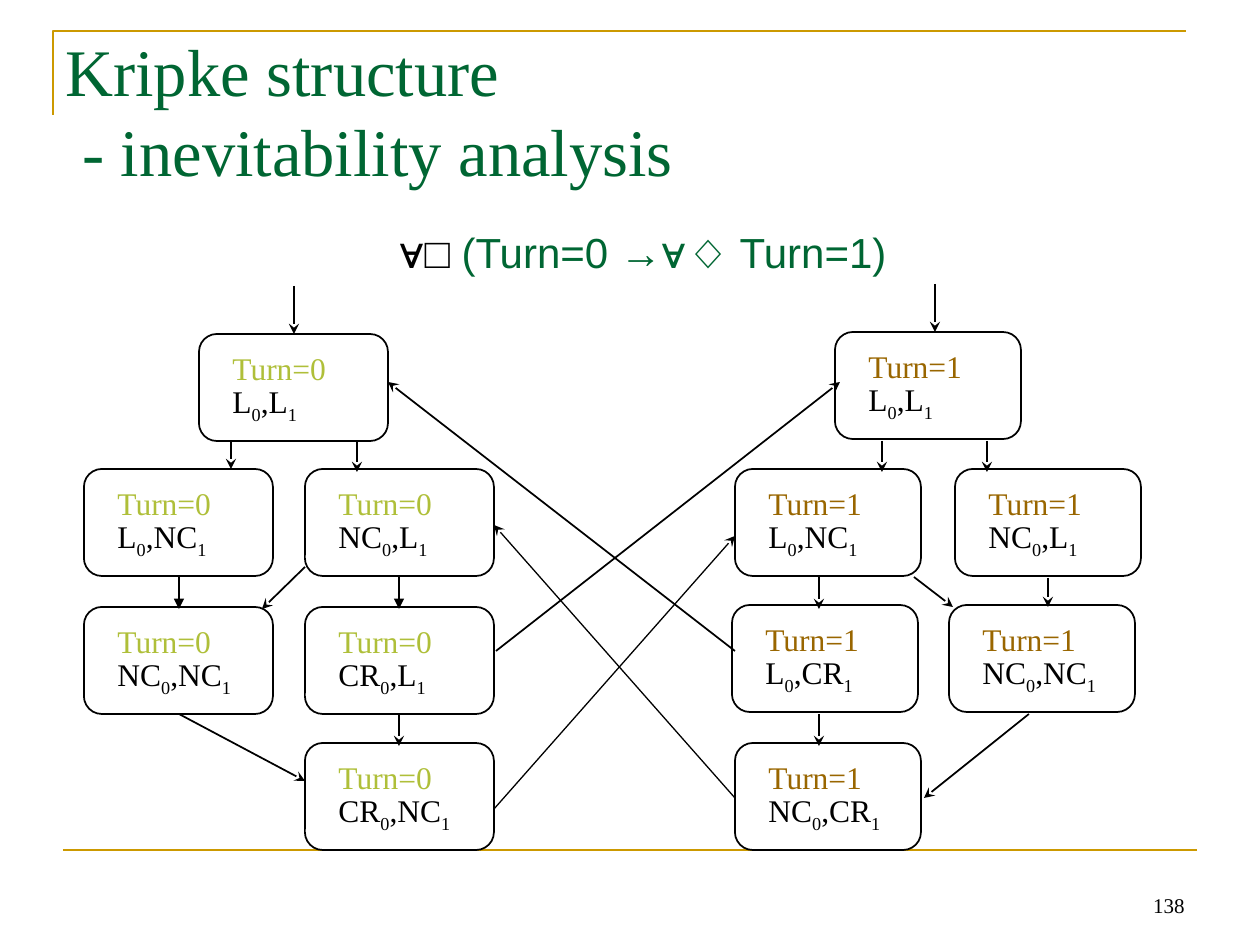
from pptx import Presentation
from pptx import util as u
from pptx.dml.color import RGBColor
from pptx.enum import shapes, text
from pptx.oxml.ns import qn
from lxml import etree

PX = 914400 // 126
SERIF, SANS = "Times New Roman", "Arial"
BLACK, WHITE, GREEN, GOLD = "000000", "FFFFFF", "006633", "CC9900"
TINT = {0: "AFBF39", 1: "996600"}
WIDTH = {0: 189, 1: 186}
HIGH = 107

TITLE = "Kripke structure\v - inevitability analysis"
FORMULA = [("∀□", BLACK, False), (" (Turn=0 →∀", GREEN, False),
           ("◇", GREEN, True), (" Turn=1)", GREEN, False)]

# turn, left, top, state of process 0, state of process 1
STATES = [
    (0, 199, 334, "L", "L"),
    (0, 84, 469, "L", "NC"),
    (0, 305, 469, "NC", "L"),
    (0, 84, 607, "NC", "NC"),
    (0, 305, 607, "CR", "L"),
    (0, 305, 743, "CR", "NC"),
    (1, 835, 332, "L", "L"),
    (1, 735, 469, "L", "NC"),
    (1, 955, 469, "NC", "L"),
    (1, 732, 605, "L", "CR"),
    (1, 949, 605, "NC", "NC"),
    (1, 735, 743, "NC", "CR"),
]

# start x, y, end x, y
STEPS = [
    (294, 286, 294, 334), (231, 441, 231, 469), (357, 441, 357, 472),
    (305, 567, 262, 609), (179, 714, 305, 781), (399, 714, 399, 746),
    (935, 284, 935, 332), (882, 441, 882, 472), (987, 441, 987, 472),
    (819, 577, 819, 609), (1048, 578, 1048, 607), (914, 577, 953, 607),
    (819, 714, 819, 746), (1029, 714, 924, 798),
    (735, 651, 388, 382), (496, 651, 840, 382),
]
SOLID = [(179, 577, 179, 609), (399, 577, 399, 609)]
THIN = [(494, 809, 735, 536), (735, 798, 494, 525)]


def rgb(code):
    return RGBColor.from_string(code)


def style(run, size, color, face=SERIF, bold=False):
    font = run.font
    font.size, font.name, font.bold = u.Pt(size), face, bold
    font.color.rgb = rgb(color)


def label(x, y, w, h, anchor=text.MSO_ANCHOR.TOP):
    frame = slide.shapes.add_textbox(x * PX, y * PX, w * PX, h * PX).text_frame
    frame.word_wrap = True
    frame.vertical_anchor = anchor
    return frame


def line(x1, y1, x2, y2, color=BLACK, width=1, head=None):
    link = slide.shapes.add_connector(
        shapes.MSO_CONNECTOR.STRAIGHT, x1 * PX, y1 * PX, x2 * PX, y2 * PX)
    link.line.color.rgb = rgb(color)
    link.line.width = u.Pt(width)
    if head:
        etree.SubElement(link.line._get_or_add_ln(), qn("a:tailEnd"), type=head)
    etree.SubElement(link._element.spPr, qn("a:effectLst"))


def state(turn, x, y, *procs):
    """Draw one box with its turn and the subscripted process states."""
    box = slide.shapes.add_shape(
        shapes.MSO_SHAPE.ROUNDED_RECTANGLE,
        x * PX, y * PX, WIDTH[turn] * PX, HIGH * PX)
    box.shadow.inherit = False
    box.fill.solid()
    box.fill.fore_color.rgb = rgb(WHITE)
    box.line.color.rgb = rgb(BLACK)
    box.line.width = u.Pt(1)

    frame = label(x + 21, y + 9, WIDTH[turn] - 31, 80)
    top = frame.paragraphs[0].add_run()
    top.text = f"Turn={turn}"
    style(top, 18, TINT[turn])
    para = frame.add_paragraph()
    para.line_spacing, para.space_before = 0.2, u.Pt(11.2)
    for i, proc in enumerate(procs):
        for part, shift in (("," * i + proc, 0), (str(i), -25000)):
            run = para.add_run()
            run.text = part
            style(run, 18, BLACK)
            if shift:
                run._r.get_or_add_rPr().set("baseline", str(shift))


deck = Presentation()
deck.slide_width, deck.slide_height = 1260 * PX, 945 * PX
slide = deck.slides.add_slide(deck.slide_layouts[6])

pen = slide.shapes.build_freeform(53, 115, scale=PX)
pen.add_line_segments([(53, 31), (1186, 31)], close=False)
rule = pen.convert_to_shape()
rule.shadow.inherit = False
rule.fill.background()
rule.line.color.rgb = rgb(GOLD)
rule.line.width = u.Pt(1.5)
line(63, 850, 1197, 850, GOLD, 1.5)

page = label(903, 861, 294, 63, text.MSO_ANCHOR.BOTTOM).paragraphs[0]
page.text = "138"
page.alignment = text.PP_ALIGN.RIGHT
style(page.runs[0], 12, BLACK)

title = label(53, 31, 966, 158, text.MSO_ANCHOR.MIDDLE).paragraphs[0]
title.text = TITLE
for run in title.runs:
    style(run, 38, GREEN)

for row in STATES:
    state(*row)
for ends in STEPS:
    line(*ends, head="stealth")
for ends in SOLID:
    line(*ends, head="triangle")
for ends in THIN:
    line(*ends, width=0.75, head="stealth")

claim = label(357, 220, 572, 63).paragraphs[0]
claim.alignment = text.PP_ALIGN.CENTER
for part, color, bold in FORMULA:
    run = claim.add_run()
    run.text = part
    style(run, 24, color, SANS, bold)

deck.save("out.pptx")
